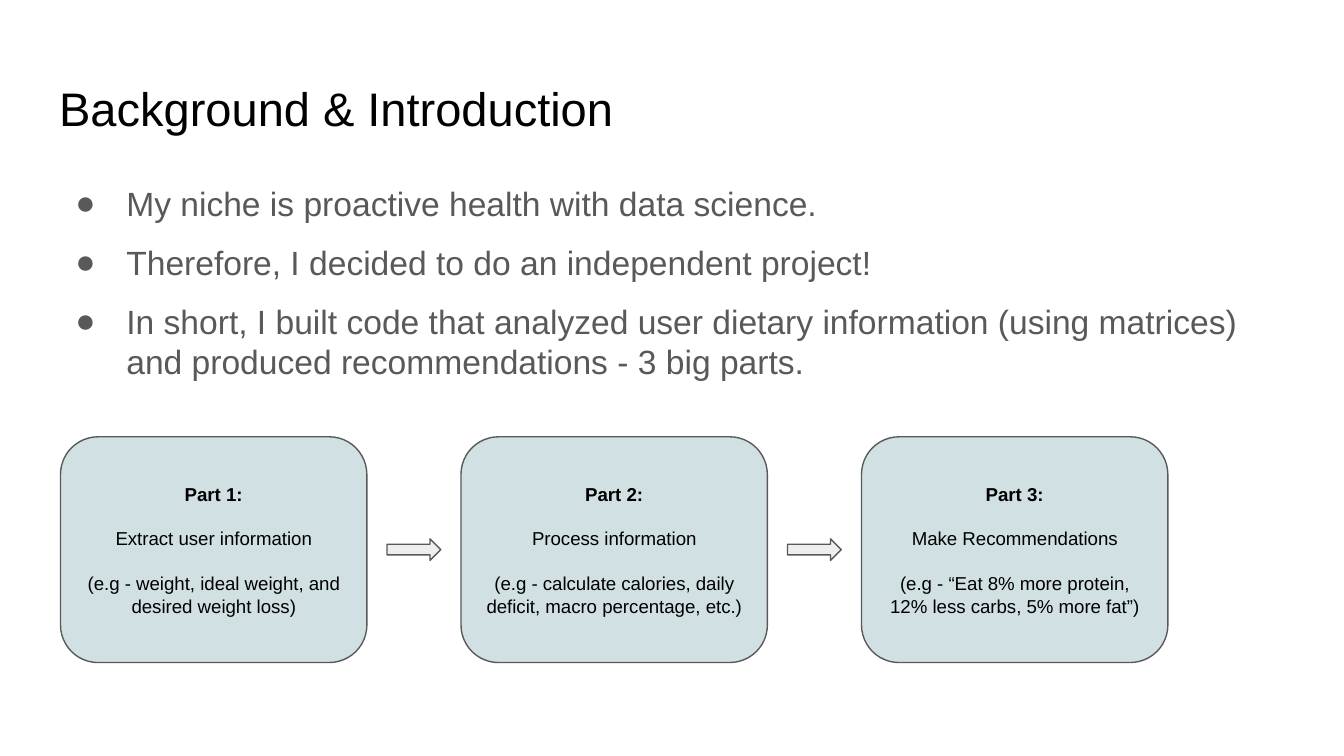
"""Build the background and introduction slide with its three-part flow."""
from dataclasses import dataclass

from lxml.etree import SubElement
from pptx import Presentation
from pptx.dml.color import RGBColor
from pptx.enum.shapes import MSO_SHAPE
from pptx.enum.text import MSO_ANCHOR, MSO_AUTO_SIZE, PP_ALIGN
from pptx.oxml.ns import qn
from pptx.util import Inches, Pt

BLACK = RGBColor(0x00, 0x00, 0x00)
GREY = RGBColor(0x59, 0x59, 0x59)
PALE_BLUE = RGBColor(0xD0, 0xE0, 0xE3)
PALE_GREY = RGBColor(0xEE, 0xEE, 0xEE)

FONT = "Arial"
SLIDE_WIDTH = 10
SLIDE_HEIGHT = SLIDE_WIDTH * 9 / 16
MARGIN_LEFT, CONTENT_WIDTH = 0.34, 9.32
PART_LEFT, PART_TOP, PART_WIDTH, PART_HEIGHT = 0.45, 3.25, 2.28, 1.68
PART_STEP = 2.98
ARROW_WIDTH, ARROW_HEIGHT = 0.4, 0.16

BULLETS = [
    "My niche is proactive health with data science.",
    "Therefore, I decided to do an independent project!",
    "In short, I built code that analyzed user dietary information "
    "(using matrices) and produced recommendations - 3 big parts.",
]


@dataclass
class Part:
    heading: str
    task: str
    example: str


PARTS = [
    Part("Part 1:", "Extract user information",
         "(e.g - weight, ideal weight, and desired weight loss)"),
    Part("Part 2:", "Process information",
         "(e.g - calculate calories, daily deficit, macro percentage, etc.)"),
    Part("Part 3:", "Make Recommendations",
         "(e.g - “Eat 8% more protein, 12% less carbs, 5% more fat”)"),
]


def place(shape, left: float, top: float, width: float, height: float) -> None:
    shape.left, shape.top = Inches(left), Inches(top)
    shape.width, shape.height = Inches(width), Inches(height)


def prepare_frame(frame, anchor: MSO_ANCHOR) -> None:
    frame.word_wrap = True
    frame.auto_size = MSO_AUTO_SIZE.NONE
    frame.vertical_anchor = anchor
    frame.margin_left = frame.margin_right = Inches(0.1)
    frame.margin_top = frame.margin_bottom = Inches(0.1)


def style_paragraph(paragraph, size: float, color: RGBColor,
                    align: PP_ALIGN = PP_ALIGN.LEFT, bold: bool = False) -> None:
    paragraph.alignment = align
    font = paragraph.font
    font.name, font.size, font.bold = FONT, Pt(size), bold
    font.color.rgb = color


def add_bullet(paragraph) -> None:
    properties = paragraph._p.get_or_add_pPr()
    properties.set("marL", str(Inches(0.5)))
    properties.set("indent", str(Inches(-0.38)))
    bullet = SubElement(properties, qn("a:buChar"), char="●")
    properties.remove(bullet)
    properties.insert_element_before(bullet, "a:tabLst", "a:defRPr", "a:extLst")


def fill_title(title) -> None:
    place(title, MARGIN_LEFT, 0.49, CONTENT_WIDTH, 0.63)
    prepare_frame(title.text_frame, MSO_ANCHOR.TOP)
    title.text_frame.text = "Background & Introduction"
    style_paragraph(title.text_frame.paragraphs[0], 25.2, BLACK)


def fill_body(body) -> None:
    place(body, MARGIN_LEFT, 1.26, CONTENT_WIDTH, 1.84)
    prepare_frame(body.text_frame, MSO_ANCHOR.TOP)
    body.text_frame.text = "\n".join(BULLETS)
    for index, paragraph in enumerate(body.text_frame.paragraphs):
        style_paragraph(paragraph, 18, GREY)
        paragraph.line_spacing = 1.0
        paragraph.space_before = Pt(10 if index else 0)
        add_bullet(paragraph)


def add_outlined_shape(slide, kind: MSO_SHAPE, left: float, top: float,
                       width: float, height: float, fill: RGBColor):
    shape = slide.shapes.add_shape(
        kind, Inches(left), Inches(top), Inches(width), Inches(height))
    shape.shadow.inherit = False
    shape.fill.solid()
    shape.fill.fore_color.rgb = fill
    shape.line.color.rgb = GREY
    shape.line.width = Pt(0.75)
    return shape


def add_part(slide, part: Part, left: float) -> None:
    box = add_outlined_shape(slide, MSO_SHAPE.FLOWCHART_ALTERNATE_PROCESS,
                             left, PART_TOP, PART_WIDTH, PART_HEIGHT, PALE_BLUE)
    prepare_frame(box.text_frame, MSO_ANCHOR.MIDDLE)
    box.text_frame.text = "\n".join([part.heading, part.task, part.example])
    for index, paragraph in enumerate(box.text_frame.paragraphs):
        style_paragraph(paragraph, 10, BLACK, PP_ALIGN.CENTER, bold=index == 0)
        paragraph.space_before = Pt(12 if index else 0)


def add_arrow(slide, part_left: float) -> None:
    gap = PART_STEP - PART_WIDTH
    left = part_left + PART_WIDTH + (gap - ARROW_WIDTH) / 2
    top = PART_TOP + (PART_HEIGHT - ARROW_HEIGHT) / 2
    add_outlined_shape(slide, MSO_SHAPE.RIGHT_ARROW, left, top,
                       ARROW_WIDTH, ARROW_HEIGHT, PALE_GREY)


def main() -> None:
    deck = Presentation()
    deck.slide_width, deck.slide_height = Inches(SLIDE_WIDTH), Inches(SLIDE_HEIGHT)
    slide = deck.slides.add_slide(deck.slide_layouts[1])
    fill_title(slide.shapes.title)
    fill_body(slide.placeholders[1])
    for index, part in enumerate(PARTS):
        left = PART_LEFT + index * PART_STEP
        add_part(slide, part, left)
        if index < len(PARTS) - 1:
            add_arrow(slide, left)
    deck.save("out.pptx")


if __name__ == "__main__":
    main()
